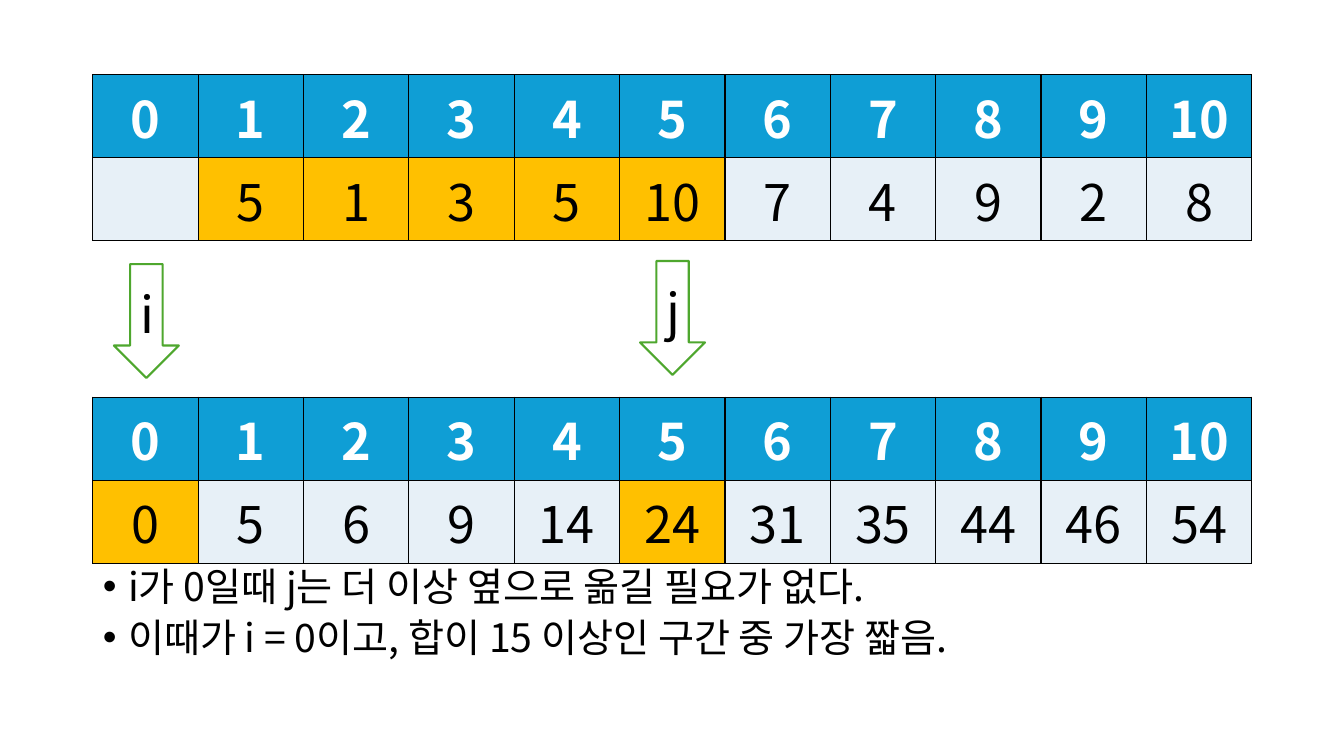
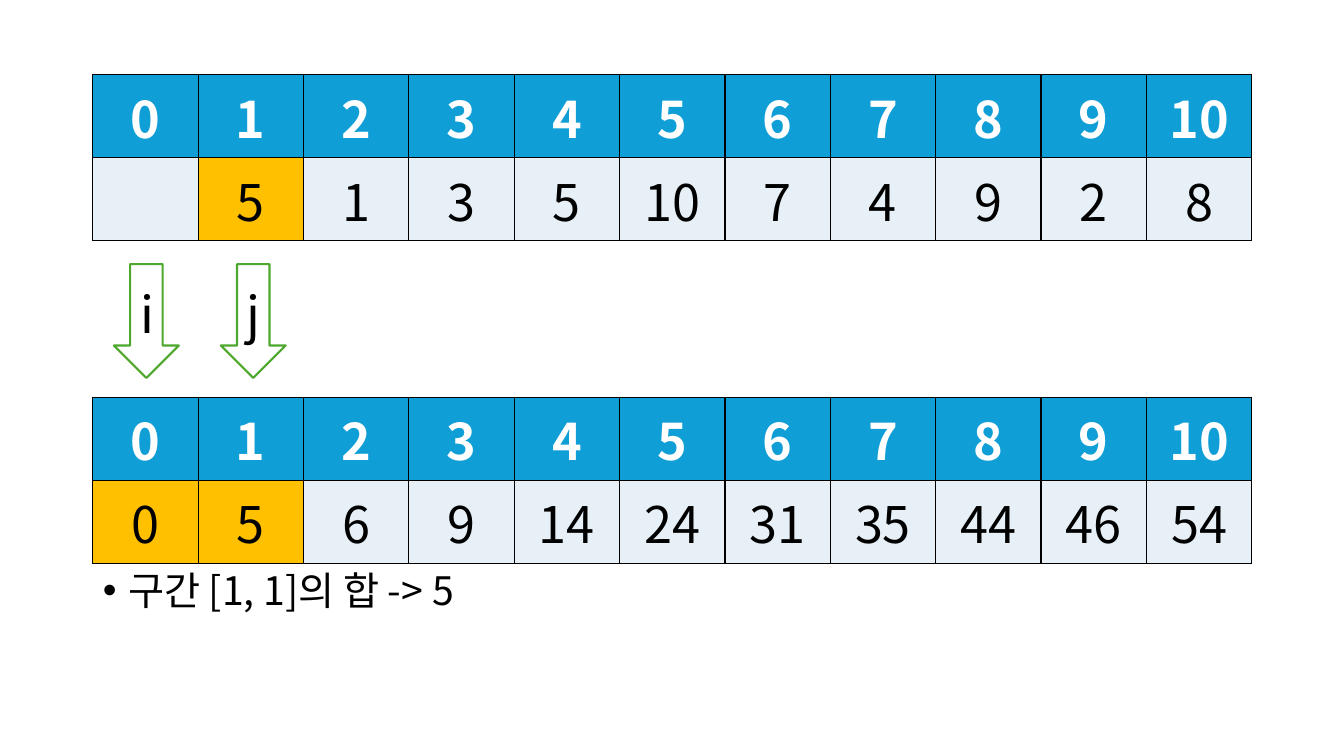
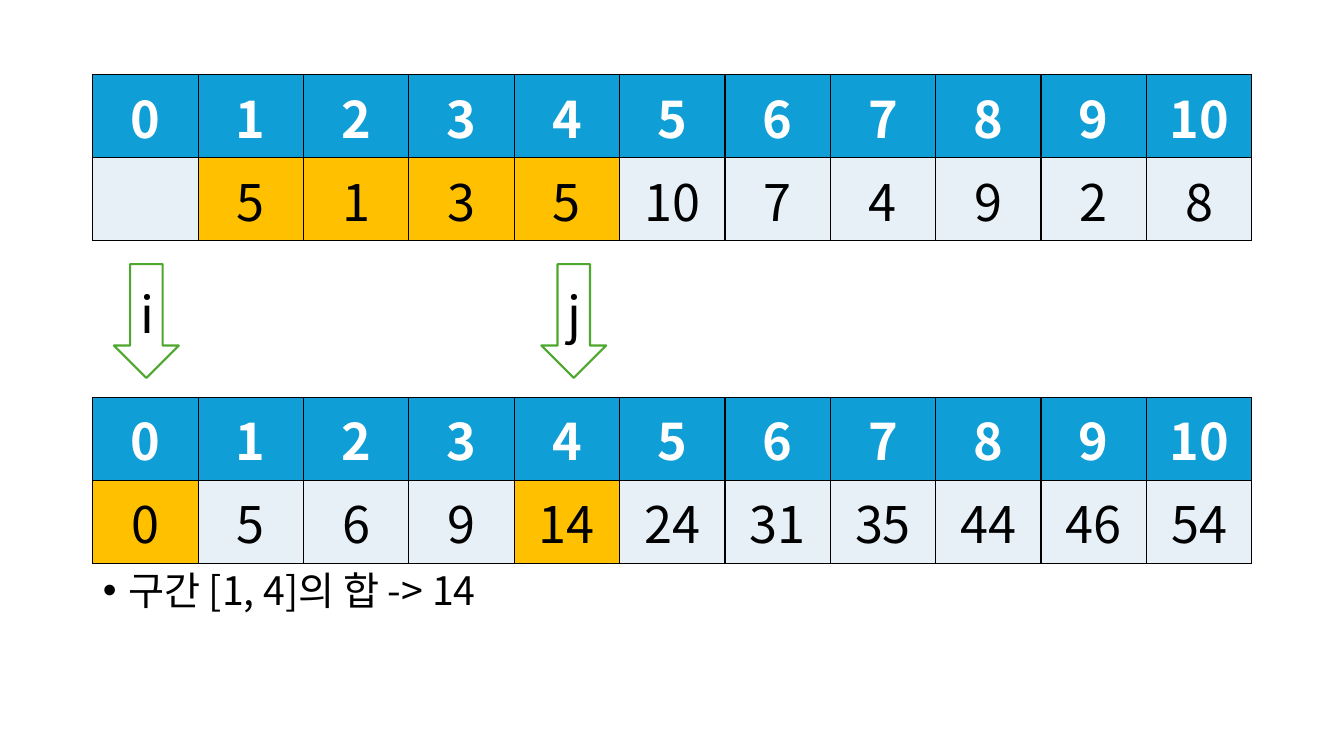
import itertools

import pptx
import pptx.dml.color
import pptx.enum.shapes
import pptx.enum.text
import pptx.oxml
import pptx.oxml.ns
import pptx.util

Pt = pptx.util.Pt
ALIGN = pptx.enum.text.PP_ALIGN
MIDDLE = pptx.enum.text.MSO_ANCHOR.MIDDLE
NS = pptx.oxml.ns.nsdecls("a")

# Shared look
FONT = "Noto Sans CJK KR"
COLORS = {"header": "0F9ED5", "cell": "E7F0F7", "mark": "FFC000",
          "arrow": "4EA72E", "white": "FFFFFF", "black": "000000"}
RGB = {name: pptx.dml.color.RGBColor.from_string(c) for name, c in COLORS.items()}
LEFT, WIDTH = 66.24, 828
ROW_H = 50.4

# The array (position 0 is unused) and its prefix sums
values = [5, 1, 3, 5, 10, 7, 4, 9, 2, 8]
sums = list(itertools.accumulate(values, initial=0))
indexes = range(len(sums))

# One entry per slide: end of the range, position of arrow j, notes below
steps = [
    {"j": 5, "j_at": (457.2, 186.48),
     "lines": ["i가 0일때 j는 더 이상 옆으로 옮길 필요가 없다.",
               "이때가 i = 0이고, 합이 15 이상인 구간 중 가장 짧음."]},
    {"j": 1, "j_at": (157.68, 188.64), "lines": ["구간 [1, 1]의 합 -> 5"]},
    {"j": 4, "j_at": (386.64, 188.64), "lines": ["구간 [1, 4]의 합 -> 14"]},
]


def add_text(p, text, size, color, bold=False):
    r = p.add_run()
    r.text = text
    for name, value in {"name": FONT, "size": Pt(size), "bold": bold}.items():
        setattr(r.font, name, value)
    r.font.color.rgb = RGB[color]
    r.font._element.append(pptx.oxml.parse_xml(f'<a:ea {NS} typeface="{FONT}"/>'))


def add_array(s, top, numbers, marked):
    table = s.shapes.add_table(2, len(indexes), Pt(LEFT), Pt(top),
                               Pt(WIDTH), Pt(2 * ROW_H)).table
    for row, texts in enumerate([indexes, numbers]):
        for col, text in enumerate(texts):
            cell = table.cell(row, col)
            cell.vertical_anchor = MIDDLE
            header = row == 0
            fill = "header" if header else "mark" if col in marked else "cell"
            cell.fill.solid()
            cell.fill.fore_color.rgb = RGB[fill]
            # Borders go before the fill
            for i, side in enumerate("LRTB"):
                cell._tc.tcPr.insert(i, pptx.oxml.parse_xml(
                    f'<a:ln{side} {NS} w="12700"><a:solidFill>'
                    f'<a:srgbClr val="{COLORS["black"]}"/>'
                    f'</a:solidFill></a:ln{side}>'))
            p = cell.text_frame.paragraphs[0]
            p.alignment = ALIGN.CENTER
            if text != "":
                add_text(p, str(text), 36, "white" if header else "black", header)


prs = pptx.Presentation()
prs.slide_width, prs.slide_height = Pt(960), Pt(540)

for step in steps:
    s = prs.slides.add_slide(prs.slide_layouts[1])
    title = s.shapes.title._element
    title.getparent().remove(title)

    # Bulleted notes
    body = s.placeholders[1]
    body.left, body.top, body.width, body.height = Pt(LEFT), Pt(404.64), Pt(WIDTH), Pt(82.08)
    tf = body.text_frame
    tf.auto_size = pptx.enum.text.MSO_AUTO_SIZE.TEXT_TO_FIT_SHAPE
    for i, line in enumerate(step["lines"]):
        p = tf.add_paragraph() if i else tf.paragraphs[0]
        pPr = p._p.get_or_add_pPr()
        pPr.set("marL", str(Pt(18)))
        pPr.set("indent", str(-Pt(18)))
        pPr.append(pptx.oxml.parse_xml(f'<a:buFont {NS} typeface="Arial"/>'))
        pPr.append(pptx.oxml.parse_xml(f'<a:buChar {NS} char="•"/>'))
        p.line_spacing = 0.9
        p.space_before = Pt(10 if i else 0)
        add_text(p, line, 28, "black")

    # Prefix sums, with both ends of the range marked
    add_array(s, 283.68, sums, {0, step["j"]})

    # Pointer arrows
    for label, (x, y) in {"i": (81.36, 188.64), "j": step["j_at"]}.items():
        sp = s.shapes.add_shape(pptx.enum.shapes.MSO_SHAPE.DOWN_ARROW,
                                Pt(x), Pt(y), Pt(46.4), Pt(81.36))
        sp.shadow.inherit = False
        sp.fill.solid()
        sp.fill.fore_color.rgb = RGB["white"]
        sp.line.color.rgb = RGB["arrow"]
        sp.line.width = Pt(1.5)
        sp.text_frame.vertical_anchor = MIDDLE
        p = sp.text_frame.paragraphs[0]
        p.alignment = ALIGN.CENTER
        add_text(p, label, 36, "black")

    # Array, with the summed elements marked
    add_array(s, 53.28, ["", *values], range(1, step["j"] + 1))

prs.save("out.pptx")
